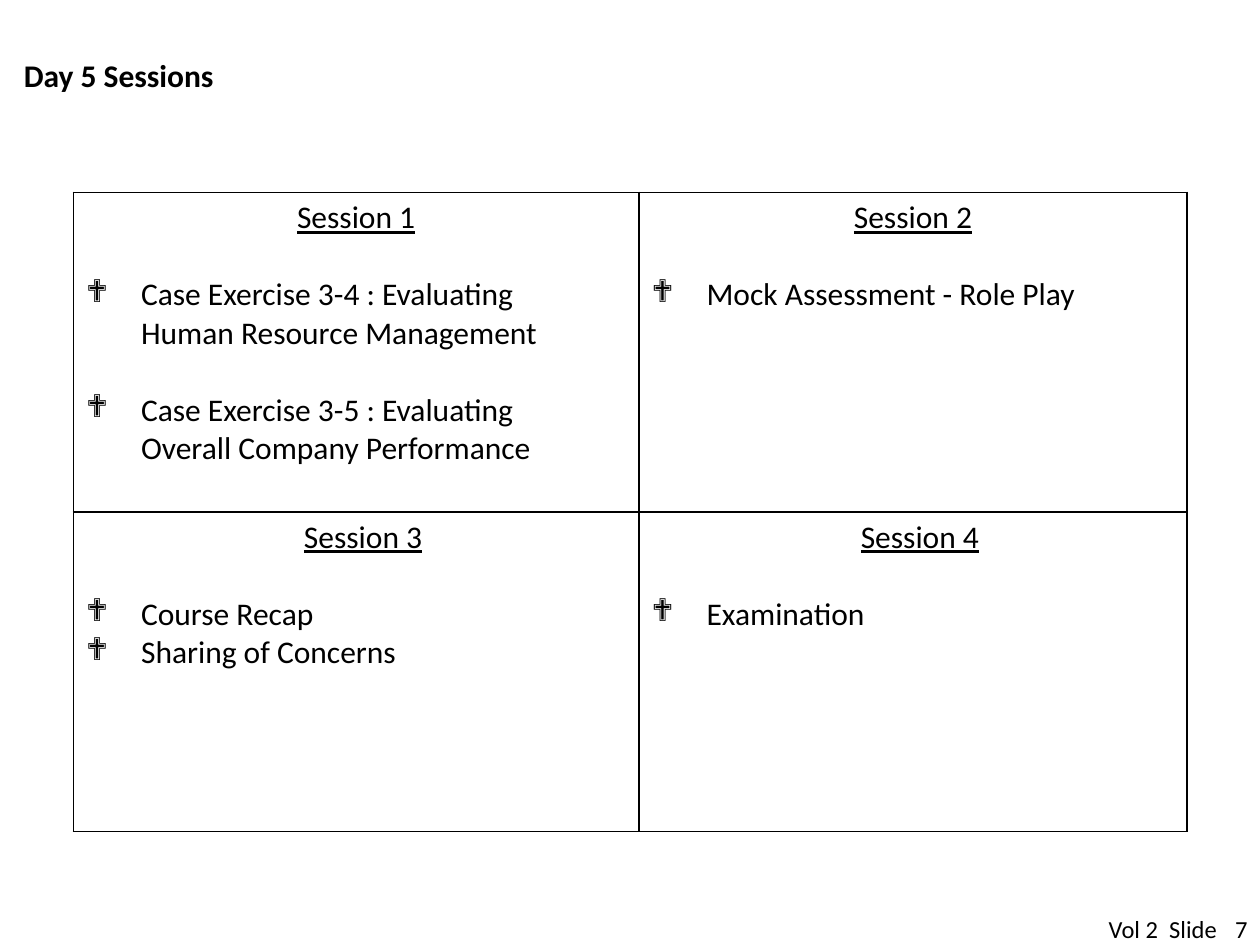
import pptx
import pptx.dml.color
import pptx.enum.text
import pptx.oxml
import pptx.oxml.ns
import pptx.util
from lxml import etree

Cm = pptx.util.Cm
Pt = pptx.util.Pt
Align = pptx.enum.text.PP_ALIGN
Anchor = pptx.enum.text.MSO_ANCHOR
COLORS = {"ink": "000000", "paper": "FFFFFF"}

SESSIONS = [
    [
        ("Session 1", [
            "Case Exercise 3-4 : Evaluating\vHuman Resource Management",
            "Case Exercise 3-5 : Evaluating\vOverall Company Performance",
        ], 22),
        ("Session 2", ["Mock Assessment - Role Play"], 0),
    ],
    [
        ("Session 3", ["Course Recap", "Sharing of Concerns"], 0),
        ("Session 4", ["Examination"], 0),
    ],
]


def color(name):
    return pptx.dml.color.RGBColor.from_string(COLORS[name])


def add_xml(parent, tag, **attributes):
    return etree.SubElement(parent, pptx.oxml.ns.qn(tag), **attributes)


def write(paragraph, text, size=18, bold=False, underline=False,
          align=Align.LEFT, before=0, margin=0, bullet=None):
    properties = paragraph._p.get_or_add_pPr()
    properties.set("marL", str(Cm(margin)))
    if bullet:
        properties.set("indent", str(-Cm(margin)))
        add_xml(properties, "a:buFont", typeface="Wingdings")
        add_xml(properties, "a:buChar", char=bullet)
    paragraph.alignment = align
    paragraph.space_before = Pt(before)
    paragraph.text = text
    for run in paragraph.runs:
        run.font.name = "Calibri"
        run.font.size = Pt(size)
        run.font.bold = bold
        run.font.underline = underline
        run.font.color.rgb = color("ink")


class SlideBuilder:
    gap = 22
    bullet = "❖"
    hanging = 1.11

    def __init__(self, slide):
        self.slide = slide

    def label(self, text, left, top, width, height, inset=(0, 0),
              anchor=Anchor.BOTTOM, **style):
        box = self.slide.shapes.add_textbox(Cm(left), Cm(top), Cm(width), Cm(height))
        frame = box.text_frame
        frame.word_wrap = True
        frame.vertical_anchor = anchor
        frame.margin_left = frame.margin_right = Cm(inset[0])
        frame.margin_top = frame.margin_bottom = Cm(inset[1])
        write(frame.paragraphs[0], text, **style)

    def borders(self, cell):
        properties = cell._tc.get_or_add_tcPr()
        for side in ("a:lnL", "a:lnR", "a:lnT", "a:lnB"):
            line = add_xml(properties, side, w=str(Pt(1)))
            fill = add_xml(line, "a:solidFill")
            add_xml(fill, "a:srgbClr", val=COLORS["ink"])

    def session(self, cell, heading, topics, topic_gap, heading_margin):
        self.borders(cell)
        cell.fill.solid()
        cell.fill.fore_color.rgb = color("paper")
        frame = cell.text_frame
        write(frame.paragraphs[0], heading, underline=True,
              align=Align.CENTER, margin=heading_margin)
        for index, topic in enumerate(topics):
            write(frame.add_paragraph(), topic, bullet=self.bullet,
                  margin=self.hanging, before=topic_gap if index else self.gap)

    def timetable(self, sessions, left, top, widths, row_height):
        frame = self.slide.shapes.add_table(
            len(sessions), len(widths), Cm(left), Cm(top),
            Cm(sum(widths)), Cm(row_height * len(sessions)))
        table = frame.table
        table.first_row = table.horz_banding = False
        for column, width in zip(table.columns, widths):
            column.width = Cm(width)
        for row, entries in enumerate(sessions):
            table.rows[row].height = Cm(row_height)
            for column, entry in enumerate(entries):
                self.session(table.cell(row, column), *entry,
                             heading_margin=0.28 * row)


def main():
    deck = pptx.Presentation()
    deck.slide_width, deck.slide_height = Cm(25.4), Cm(19.05)
    builder = SlideBuilder(deck.slides.add_slide(deck.slide_layouts[6]))
    builder.label("7", 24.2, 18.42, 0.95, 0.6, size=14, align=Align.RIGHT)
    builder.label("Vol 2  Slide", 22.1, 18.3, 2.72, 0.86, size=14,
                  inset=(0.25, 0.13), anchor=Anchor.TOP)
    builder.label("Day 5 Sessions", 0.48, 1.14, 19.43, 0.76, bold=True)
    builder.timetable(SESSIONS, 1.48, 3.88, [11.4, 11.05], 6.44)
    deck.save("out.pptx")


if __name__ == "__main__":
    main()
